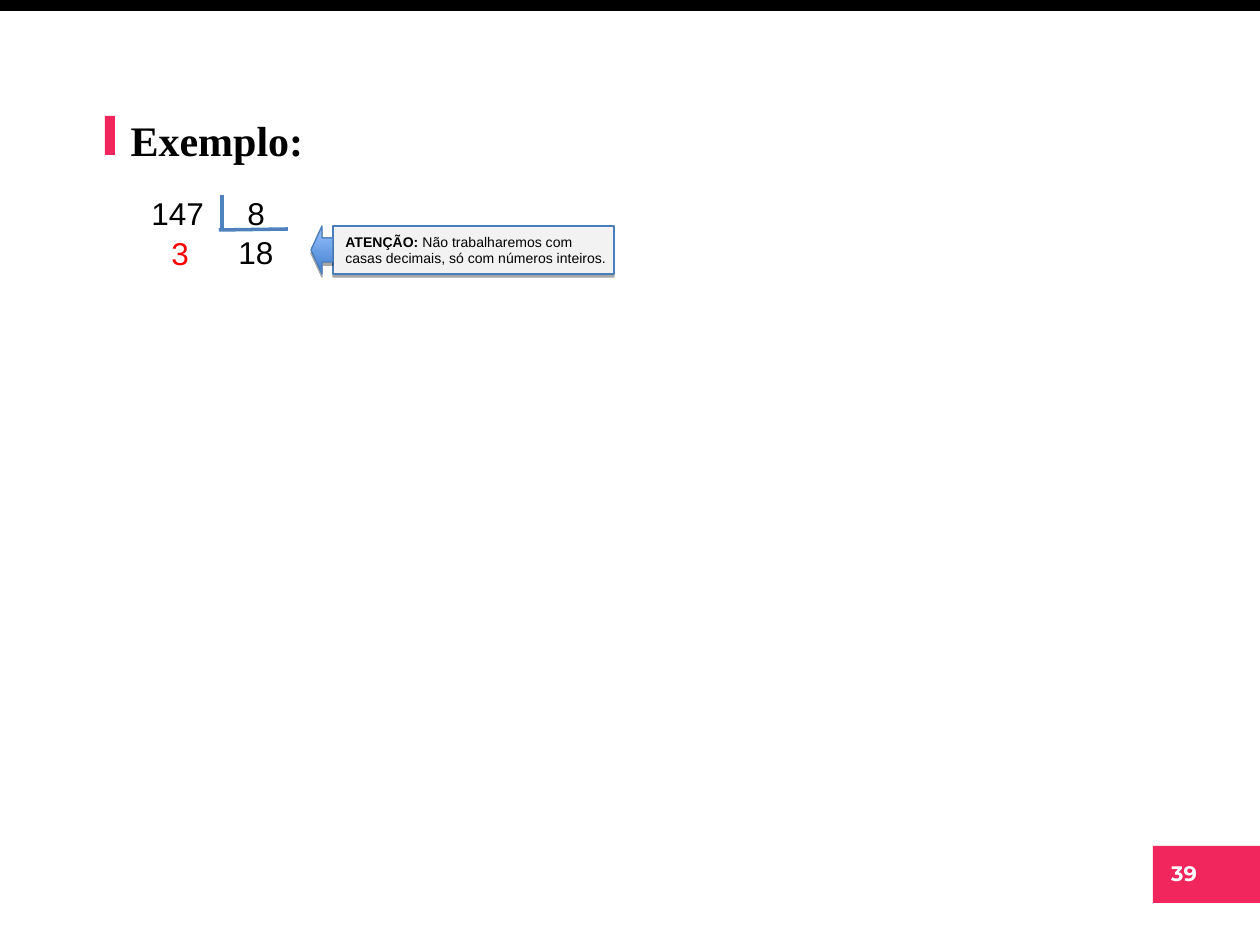
from dataclasses import dataclass

from pptx import Presentation
from pptx.dml.color import RGBColor
from pptx.enum.shapes import MSO_CONNECTOR, MSO_SHAPE
from pptx.enum.text import MSO_ANCHOR, MSO_AUTO_SIZE, PP_ALIGN
from pptx.oxml import parse_xml
from pptx.oxml.ns import nsdecls
from pptx.util import Emu, Pt

RECTANGLE, LEFT_ARROW = MSO_SHAPE.RECTANGLE, MSO_SHAPE.LEFT_ARROW
STRAIGHT = MSO_CONNECTOR.STRAIGHT
LEFT, CENTER = PP_ALIGN.LEFT, PP_ALIGN.CENTER
TOP, NO_AUTOSIZE = MSO_ANCHOR.TOP, MSO_AUTO_SIZE.NONE

BLACK = RGBColor(0x00, 0x00, 0x00)
WHITE = RGBColor(0xFF, 0xFF, 0xFF)
RED = RGBColor(0xFF, 0x00, 0x00)
PINK = RGBColor(0xF0, 0x26, 0x5D)
LIGHT_GRAY = RGBColor(0xF2, 0xF2, 0xF2)
RULE_BLUE = RGBColor(0x4F, 0x81, 0xBD)
OUTLINE_BLUE = RGBColor(0x4A, 0x7E, 0xBB)
ARROW_DARK = RGBColor(0x3F, 0x80, 0xCD)
ARROW_LIGHT = RGBColor(0x9B, 0xC1, 0xFF)

TITLE_ONLY_LAYOUT = 5


def px(length: int) -> Emu:
    return Emu(round(length * 914400 / 126))


@dataclass(frozen=True)
class Box:
    left: int
    top: int
    width: int
    height: int

    def emu(self) -> tuple[Emu, ...]:
        return tuple(px(n) for n in (self.left, self.top, self.width, self.height))


@dataclass(frozen=True)
class Label:
    box: Box
    text: str
    size: int = 18
    color: RGBColor = BLACK
    font: str = "Arial"
    bold: bool = False
    align: PP_ALIGN = LEFT


def style_font(font, label: Label) -> None:
    font.name, font.size, font.bold = label.font, Pt(label.size), label.bold
    font.color.rgb = label.color


def write_label(shape, label: Label):
    frame = shape.text_frame
    frame.text = label.text
    frame.word_wrap = True
    frame.auto_size = NO_AUTOSIZE
    frame.vertical_anchor = TOP
    paragraph = frame.paragraphs[0]
    paragraph.alignment = label.align
    style_font(paragraph.runs[0].font, label)
    return paragraph


def add_label(shapes, label: Label):
    return write_label(shapes.add_textbox(*label.box.emu()), label)


def add_block(shapes, box: Box, color: RGBColor, preset=RECTANGLE):
    shape = shapes.add_shape(preset, *box.emu())
    shape.shadow.inherit = False
    shape.fill.solid()
    shape.fill.fore_color.rgb = color
    shape.line.fill.background()
    return shape


def add_outline_and_shadow(shape) -> None:
    shape.line.color.rgb = OUTLINE_BLUE
    shape.line.width = Pt(0.75)
    shape.shadow.inherit = False
    shape.element.spPr.find("{*}effectLst").append(parse_xml(
        f'<a:outerShdw {nsdecls("a")} blurRad="0" dist="22860" dir="5400000" rotWithShape="0">'
        '<a:srgbClr val="000000"><a:alpha val="35000"/></a:srgbClr></a:outerShdw>'))


def add_rule(shapes, x1: int, y1: int, x2: int, y2: int) -> None:
    rule = shapes.add_connector(STRAIGHT, px(x1), px(y1), px(x2), px(y2))
    rule.line.color.rgb = RULE_BLUE
    rule.line.width = Pt(2)
    rule.element.spPr.append(parse_xml(f'<a:effectLst {nsdecls("a")}/>'))


def add_division(slide) -> None:
    """Long division of 147 by 8: operands, bracket, quotient and remainder."""
    shapes = slide.shapes.add_group_shape().shapes
    operands = add_label(shapes, Label(Box(139, 188, 171, 50), "147\t8"))
    operands._p.get_or_add_pPr().insert(0, parse_xml(
        f'<a:tabLst {nsdecls("a")}><a:tab pos="{px(96)}" algn="l"/></a:tabLst>'))
    add_rule(shapes, 222, 195, 222, 229)
    add_rule(shapes, 219, 230, 288, 229)
    add_label(slide.shapes, Label(Box(223, 227, 66, 50), "18", align=CENTER))
    add_label(slide.shapes, Label(Box(159, 228, 50, 50), "3", color=RED))


def add_warning(slide) -> None:
    """Boxed remark with an arrow pointing at the division."""
    shapes = slide.shapes.add_group_shape().shapes
    add_outline_and_shadow(add_block(shapes, Box(333, 226, 281, 48), LIGHT_GRAY))

    heading = Label(Box(333, 227, 289, 47), "ATENÇÃO:", size=8, bold=True)
    run = add_label(shapes, heading).add_run()
    run.text = " Não trabalharemos com casas decimais, só com números inteiros."
    style_font(run.font, Label(heading.box, run.text, size=8))

    arrow = add_block(shapes, Box(311, 226, 22, 48), ARROW_DARK, LEFT_ARROW)
    arrow.fill.gradient()
    arrow.fill.gradient_angle = 90
    for stop, color in zip(arrow.fill.gradient_stops, (ARROW_DARK, ARROW_LIGHT)):
        stop.color.rgb = color
    add_outline_and_shadow(arrow)


def main() -> None:
    presentation = Presentation()
    presentation.slide_width, presentation.slide_height = px(1260), px(945)
    slide = presentation.slides.add_slide(presentation.slide_layouts[TITLE_ONLY_LAYOUT])

    # Top band, page tag and title marker
    add_block(slide.shapes, Box(0, 0, 1260, 11), BLACK)
    add_block(slide.shapes, Box(1153, 846, 108, 57), PINK)
    add_block(slide.shapes, Box(105, 116, 10, 39), PINK)
    add_label(slide.shapes, Label(Box(1117, 854, 134, 42), "39", 12, WHITE,
                                  "Montserrat", True, CENTER))

    # Title
    title = slide.shapes.title
    title_label = Label(Box(118, 102, 645, 111), "Exemplo:", 24, BLACK,
                        "Times New Roman", True)
    title.left, title.top, title.width, title.height = title_label.box.emu()
    write_label(title, title_label)
    title.text_frame.margin_top = px(12)

    add_division(slide)
    add_warning(slide)
    presentation.save("out.pptx")


if __name__ == "__main__":
    main()
